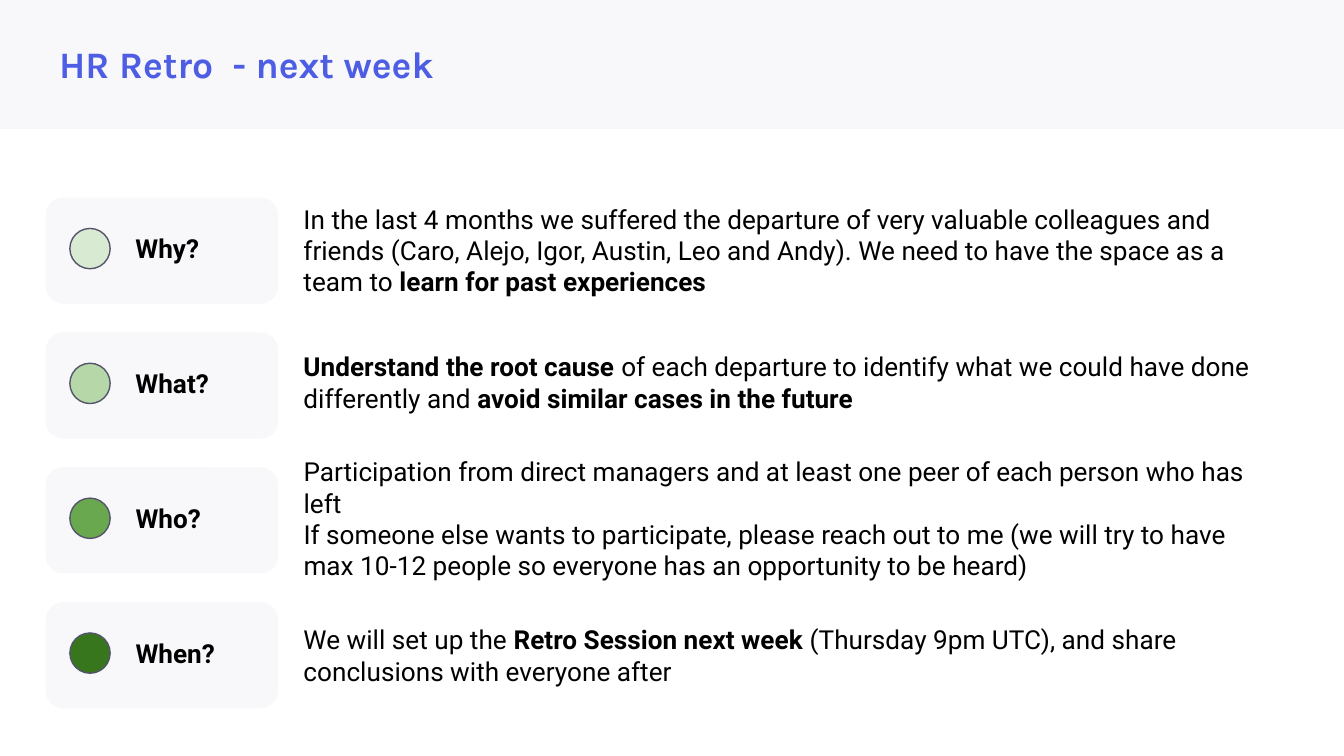
import pptx
import pptx.util
import pptx.dml.color
import pptx.enum.shapes
import pptx.enum.text

WIDE = 10
HIGH = WIDE * 9 / 16
FIRST, LAST = 1.47, 4.48    # tops of the first and last card
CARD, DOT, LABEL, BODY = 0.34, 0.52, 0.91, 2.16     # left edge of each column
CARD_W, CARD_H, DOT_D = 1.73, 0.79, 0.3

KINDS = pptx.enum.shapes.MSO_SHAPE
ANCHOR = pptx.enum.text.MSO_ANCHOR

HEX = {
    "panel": "F8F8FA", "title": "4E5EE4", "text": "000000", "rim": "53536B",
    "why": "D9EAD3", "what": "B6D7A8", "who": "6AA84F", "when": "38761D",
}
TITLE = {"name": "Karla", "size": pptx.util.Pt(20), "bold": True}
PLAIN = {"name": "Roboto", "size": pptx.util.Pt(14), "bold": False}
STRONG = {**PLAIN, "bold": True}

# Label, its width, dot colour, body top, width and height,
# paragraphs (*...* is bold)
ROWS = [
    ("Why?", 0.94, "why", (1.41, 7.53, 0.91), [
        "In the last 4 months we suffered the departure of very valuable "
        "colleagues and friends (Caro, Alejo, Igor, Austin, Leo and Andy). We "
        "need to have the space as a team to *learn for past experiences*"]),
    ("What?", 0.94, "what", (2.51, 7.53, 0.67), [
        "*Understand the root cause *of each departure to identify what we "
        "could have done differently and *avoid similar cases in the future*"]),
    ("Who?", 0.78, "who", (3.29, 7.22, 1.14), [
        "Participation from direct managers and at least one peer of each "
        "person who has left",
        "If someone else wants to participate, please reach out to me (we will "
        "try to have max 10-12 people so everyone has an opportunity to be "
        "heard)"]),
    ("When?", 0.98, "when", (4.54, 7.53, 0.67), [
        "We will set up the *Retro Session next week *(Thursday 9pm UTC), and "
        "share conclusions with everyone after"]),
]


def tint(key):
    return pptx.dml.color.RGBColor.from_string(HEX[key])


def place(*box):
    return [pptx.util.Inches(n) for n in box]


def add_shape(slide, kind, box, fill, rim=None):
    shape = slide.shapes.add_shape(kind, *place(*box))
    shape.shadow.inherit = False
    shape.fill.solid()
    shape.fill.fore_color.rgb = tint(fill)
    if rim:
        shape.line.color.rgb = tint(rim)
        shape.line.width = pptx.util.Pt(0.75)
    else:
        shape.line.fill.background()


def add_run(para, text, style, ink):
    run = para.add_run()
    run.text = text
    for key, value in style.items():
        setattr(run.font, key, value)
    run.font.color.rgb = tint(ink)


def add_text(slide, box, paras, style, ink="text", inset=0.1,
             anchor=ANCHOR.TOP):
    """Add a wrapped text box; parts between asterisks are bold."""
    frame = slide.shapes.add_textbox(*place(*box)).text_frame
    frame.word_wrap = True
    frame.vertical_anchor = anchor
    for side in ("left", "top", "right", "bottom"):
        setattr(frame, f"margin_{side}", pptx.util.Inches(inset))
    for i, text in enumerate(paras):
        para = frame.add_paragraph() if i else frame.paragraphs[0]
        for j, part in enumerate(text.split("*")):
            if part:
                add_run(para, part, STRONG if j % 2 else style, ink)


def add_row(slide, top, label, span, fill, body, paras):
    add_shape(slide, KINDS.ROUNDED_RECTANGLE,
              (CARD, top, CARD_W, CARD_H), "panel")
    add_shape(slide, KINDS.OVAL, (DOT, top + 0.23, DOT_D, DOT_D), fill, "rim")
    add_text(slide, (LABEL, top + 0.16, span, 0.44), [label], STRONG)
    add_text(slide, (BODY, *body), paras, PLAIN)


def main():
    deck = pptx.Presentation()
    deck.slide_width, deck.slide_height = place(WIDE, HIGH)
    slide = deck.slides.add_slide(deck.slide_layouts[6])
    for top, height in ((0, 0.95), (0.29, 0.67)):
        add_shape(slide, KINDS.RECTANGLE, (0, top, WIDE, height), "panel")
    add_text(slide, (0.44, 0.16, 9.25, 0.63), ["HR Retro  - next week"],
             TITLE, "title", 0, ANCHOR.MIDDLE)
    pitch = (LAST - FIRST) / (len(ROWS) - 1)
    for i, row in enumerate(ROWS):
        add_row(slide, FIRST + i * pitch, *row)
    deck.save("out.pptx")


if __name__ == "__main__":
    main()
